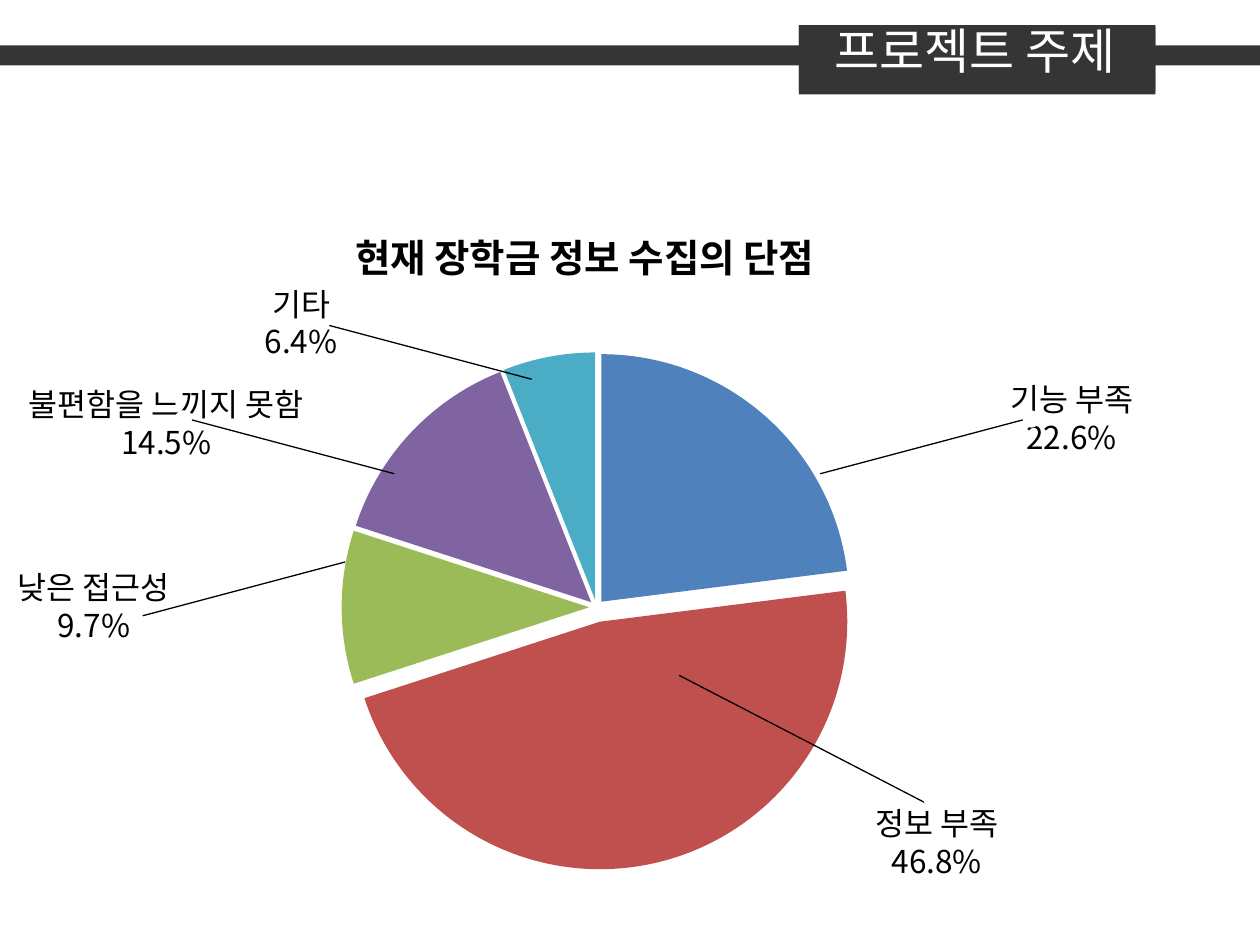
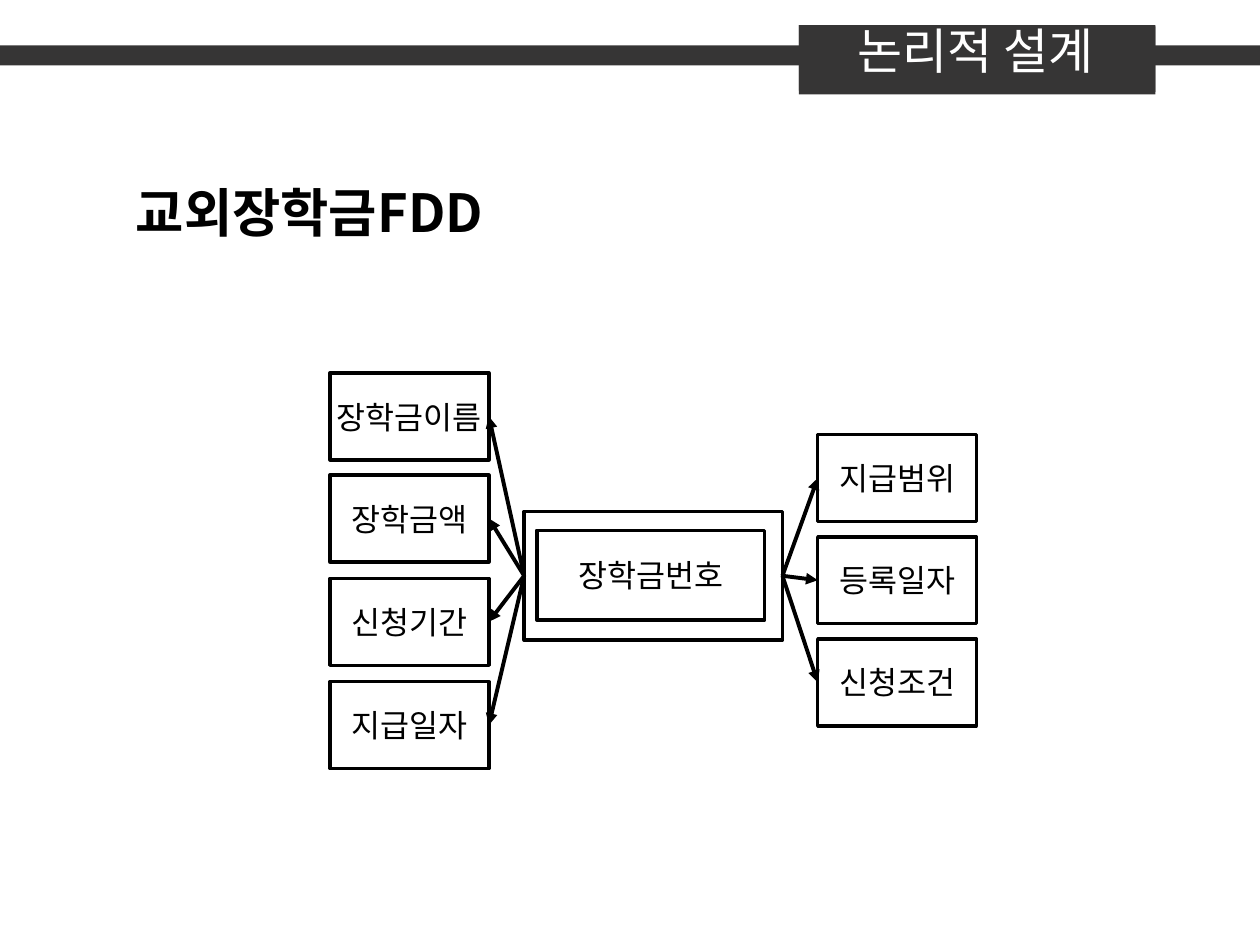
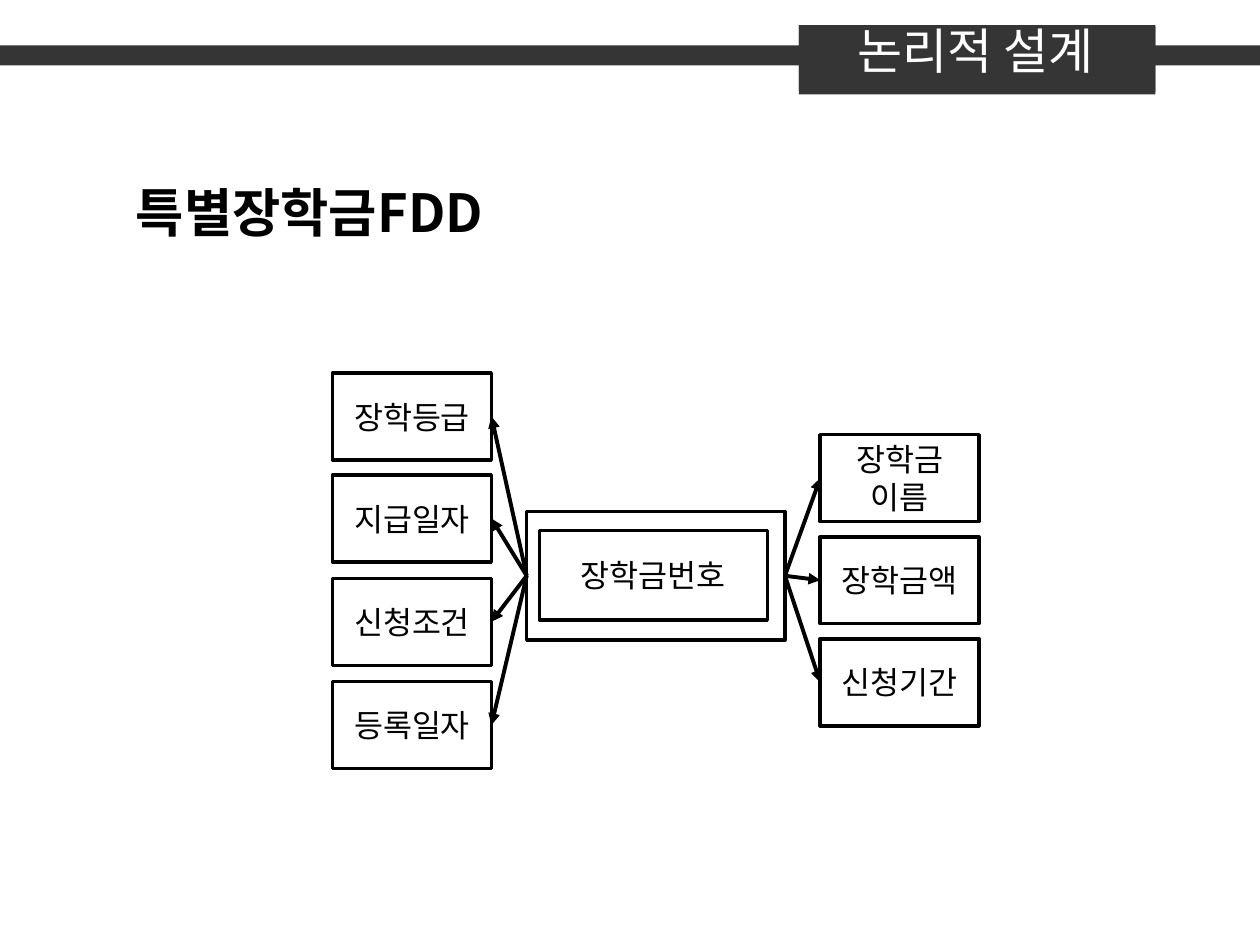
from lxml import etree
from pptx import Presentation
from pptx import util as u
from pptx.chart.data import CategoryChartData
from pptx.dml.color import RGBColor
from pptx.enum import chart as chart_kinds, shapes as kinds, text as text_kinds
from pptx.oxml.ns import qn

FONT = "Noto Sans CJK KR"
BLACK = RGBColor(0x00, 0x00, 0x00)
WHITE = RGBColor(0xFF, 0xFF, 0xFF)
BAND = RGBColor(0x36, 0x35, 0x35)
SLICES = [RGBColor.from_string(code) for code in
          ("4F81BD", "C0504D", "9BBB59", "8064A2", "4BACC6")]
CENTER = text_kinds.PP_ALIGN.CENTER
RECTANGLE = kinds.MSO_SHAPE.RECTANGLE
LEFT_SITE, RIGHT_SITE = 1, 3

# ---- Content (lengths in inches) ----
# drawback, share as written, share as charted
DRAWBACKS = [("기능 부족", "22.6%", 23), ("정보 부족", "46.8%", 47),
             ("낮은 접근성", "9.7%", 10), ("불편함을 느끼지 못함", "14.5%", 14),
             ("기타", "6.4%", 6)]
# slice number, label (left, top, width), line start, line end, dot, label in front
CALLOUTS = [
    (1, (6.37, 6.33, 2.13), (5.39, 5.36), (7.36, 6.38), (7.34, 6.28), False),
    (0, (7.44, 2.97, 2.13), (6.51, 3.76), (8.24, 3.30), (8.13, 3.27), False),
    (3, (-0.08, 3.01, 2.8), (3.13, 3.76), (1.40, 3.30), (1.40, 3.27), False),
    (2, (-0.2, 4.46, 1.89), (2.74, 4.46), (1.01, 4.92), (1.01, 4.84), True),
    (4, (0.99, 2.21, 2.8), (4.22, 3.01), (2.49, 2.55), (2.49, 2.52), True),
]
DIAGRAMS = [
    dict(heading="교외장학금FDD", key="장학금번호", left=2.62,
         left_fields=["장학금이름", "장학금액", "신청기간", "지급일자"],
         right_fields=["지급범위", "등록일자", "신청조건"]),
    dict(heading="특별장학금FDD", key="장학금번호", left=2.64,
         left_fields=["장학등급", "지급일자", "신청조건", "등록일자"],
         right_fields=["장학금\n이름", "장학금액", "신청기간"]),
]

# ---- Diagram grid ----
FIELD_SIZE = (1.26, 0.69)
HUB_OFFSET, RIGHT_OFFSET = 1.54, 3.87
LEFT_ROWS, RIGHT_ROWS = (2.96, 3.77, 4.59, 5.41), (3.45, 4.26, 5.07)


def inches(values):
    return [u.Inches(value) for value in values]


def write(shape, content, size=18, color=BLACK, bold=False, align=None,
          anchor=text_kinds.MSO_ANCHOR.TOP, wrap=True):
    frame = shape.text_frame
    frame.word_wrap = wrap
    frame.vertical_anchor = anchor
    frame.text = content
    for paragraph in frame.paragraphs:
        paragraph.alignment = align
        for run in paragraph.runs:
            font = run.font
            font.name, font.size, font.bold = FONT, u.Pt(size), bold
            font.color.rgb = color
            properties = run._r.get_or_add_rPr()
            properties.set("kern", "0")  # full-width word gaps
            etree.SubElement(properties, qn("a:ea")).set("typeface", FONT)


def add_label(shapes, box, content, **style):
    label = shapes.add_textbox(*inches(box))
    write(label, content, **style)
    label.text_frame.auto_size = text_kinds.MSO_AUTO_SIZE.SHAPE_TO_FIT_TEXT
    return label


def add_box(shapes, box, fill, line=None, kind=RECTANGLE):
    shape = shapes.add_shape(kind, *inches(box))
    shape.shadow.inherit = False
    shape.fill.solid()
    shape.fill.fore_color.rgb = fill
    if line is None:
        shape.line.fill.background()
    else:
        shape.line.color.rgb = line
        shape.line.width = u.Pt(2)
    return shape


def add_field(shapes, box, content):
    shape = add_box(shapes, box, WHITE, BLACK)
    write(shape, content, align=CENTER, anchor=text_kinds.MSO_ANCHOR.MIDDLE, wrap=False)
    return shape


def add_line(shapes, start=(0, 0), end=(0, 0), width=0.75, arrow=False):
    line = shapes.add_connector(kinds.MSO_CONNECTOR.STRAIGHT, *inches(start + end))
    line.line.color.rgb = BLACK
    line.line.width = u.Pt(width)
    if arrow:
        etree.SubElement(line.line._get_or_add_ln(), qn("a:tailEnd")).set("type", "triangle")
    etree.SubElement(line._element.spPr, qn("a:effectLst"))
    return line


def add_slide(title):
    """Title-only slide with the band and the title tab."""
    slide = presentation.slides.add_slide(presentation.slide_layouts[5])
    for box in ((0, 0.36, 10, 0.16), (6.34, 0.2, 2.83, 0.55),
                (6.34, 0.2, 0.08, 0.52), (9.09, 0.21, 0.08, 0.52)):
        add_box(slide.shapes, box, BAND)
    heading = slide.shapes.title
    heading.left, heading.top, heading.width, heading.height = inches((6.34, 0.11, 2.8, 0.57))
    write(heading, title, size=28, color=WHITE, align=CENTER)
    heading.text_frame.auto_size = text_kinds.MSO_AUTO_SIZE.NONE
    slide.shapes._spTree.append(heading._element)  # in front of the tab
    return slide


def explosion(percent):
    element = etree.Element(qn("c:explosion"))
    element.set("val", str(percent))
    return element


def add_pie(slide):
    data = CategoryChartData()
    data.categories = [name for name, label, share in DRAWBACKS]
    data.add_series("Series 1", [share for name, label, share in DRAWBACKS])
    chart = slide.shapes.add_chart(chart_kinds.XL_CHART_TYPE.PIE,
                                   *inches((1.4, 2.6, 6.67, 4.44)), data).chart
    chart.has_title = chart.has_legend = False
    chart.font.name, chart.font.size = FONT, u.Pt(10)
    chart.font.color.rgb = BLACK
    chart.plots[0].vary_by_categories = True
    series = chart.plots[0].series[0]
    for index, color in enumerate(SLICES):
        fill = series.points[index].format.fill
        fill.solid()
        fill.fore_color.rgb = color
    # All slices stand apart, the largest one further out
    points = series._element.findall(qn("c:dPt"))
    points[0].addprevious(explosion(3))
    points[1].find(qn("c:spPr")).addprevious(explosion(6))


def add_callout(slide, index, label_place, start, end, dot, label_in_front):
    shapes = slide.shapes.add_group_shape().shapes
    name, label, share = DRAWBACKS[index]
    text_box = add_label(shapes, label_place + (0.71,), f"{name}\n{label}", align=CENTER)
    add_line(shapes, start, end)
    add_box(shapes, dot + (0.11, 0.11), WHITE, WHITE, kinds.MSO_SHAPE.OVAL)
    if label_in_front:
        shapes._element.append(text_box._element)


def add_diagram(slide, heading, key, left, left_fields, right_fields):
    add_label(slide.shapes, (0.98, 1.38, 4.96, 0.61), heading, size=30, bold=True)
    shapes = slide.shapes.add_group_shape().shapes
    hub_left = left + HUB_OFFSET
    hub = add_box(shapes, (hub_left, 4.06, 2.05, 1.02), WHITE, BLACK)
    add_field(shapes, (hub_left + 0.1, 4.21, 1.81, 0.71), key)
    sides = ((left_fields, left, LEFT_ROWS, LEFT_SITE, RIGHT_SITE),
             (right_fields, left + RIGHT_OFFSET, RIGHT_ROWS, RIGHT_SITE, LEFT_SITE))
    for fields, column, rows, hub_site, field_site in sides:
        for content, top in zip(fields, rows):
            field = add_field(shapes, (column, top) + FIELD_SIZE, content)
            arrow = add_line(shapes, width=2.25, arrow=True)
            arrow.begin_connect(hub, hub_site)
            arrow.end_connect(field, field_site)


presentation = Presentation()
presentation.slide_width, presentation.slide_height = inches((10, 7.5))

# Slide 1: survey pie with callouts
survey = add_slide("프로젝트 주제")
add_pie(survey)
add_label(survey.shapes, (2.72, 1.81, 4.57, 0.47), "현재 장학금 정보 수집의 단점",
          size=22, bold=True)
for callout in CALLOUTS:
    add_callout(survey, *callout)

# Slides 2 and 3: functional dependency diagrams
for diagram in DIAGRAMS:
    add_diagram(add_slide("논리적 설계"), **diagram)

presentation.save("out.pptx")
